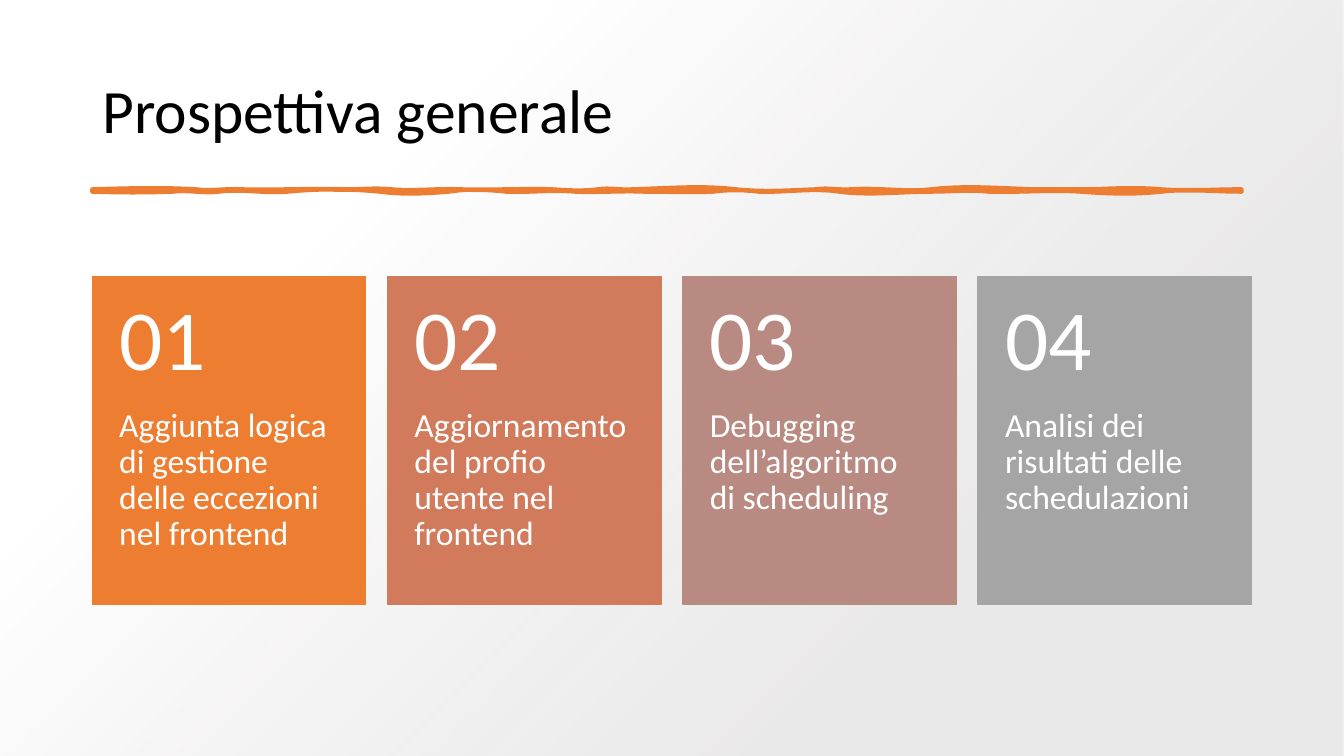
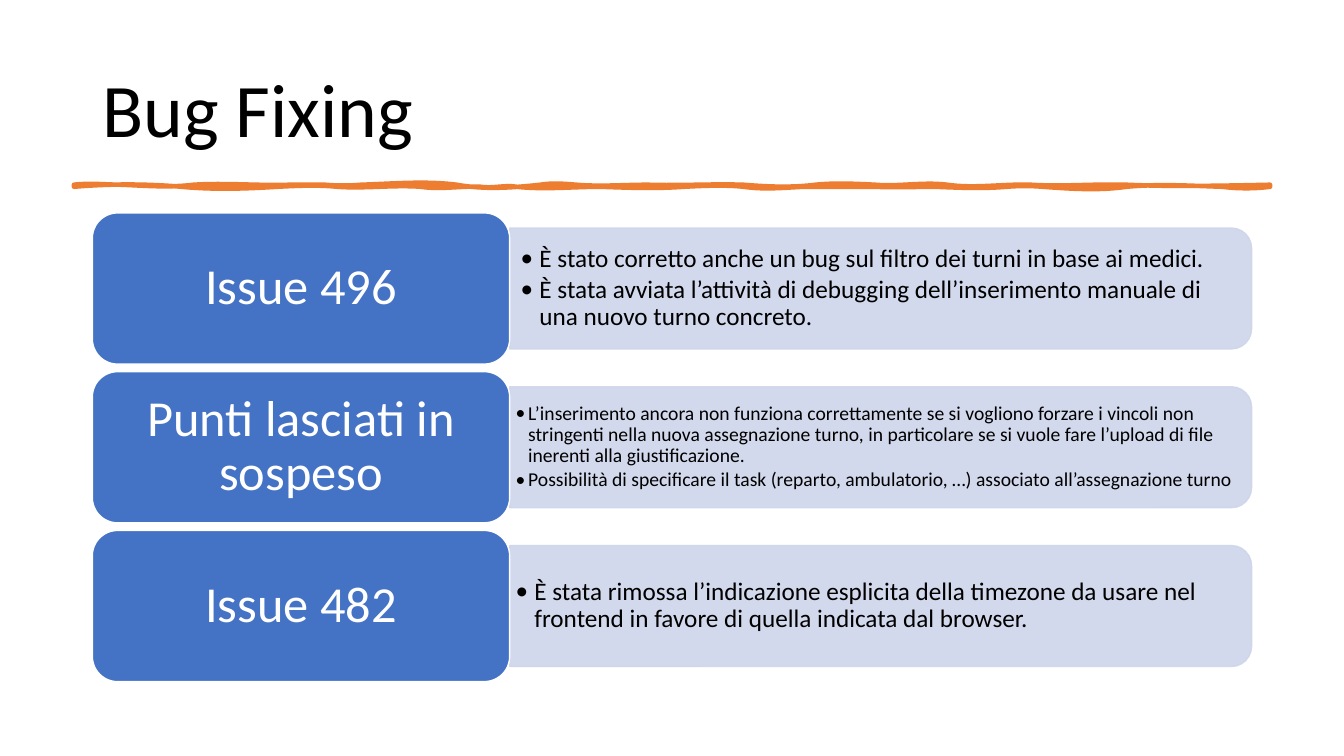
from lxml import etree
from pptx import Presentation
from pptx import util as u
from pptx.dml.color import RGBColor
from pptx.enum import shapes, text
from pptx.oxml.ns import qn

BLACK = RGBColor(0x00, 0x00, 0x00)
WHITE = RGBColor(0xFF, 0xFF, 0xFF)
ORANGE = RGBColor(0xED, 0x7D, 0x31)
TERRACOTTA = RGBColor(0xD1, 0x7B, 0x5C)
DUSTY_ROSE = RGBColor(0xB9, 0x8A, 0x82)
GRAY = RGBColor(0xA5, 0xA5, 0xA5)
PALE_GRAY = RGBColor(0xE7, 0xE6, 0xE6)
BLUE = RGBColor(0x44, 0x72, 0xC4)
PALE_BLUE = RGBColor(0xCF, 0xD5, 0xEA)

# The grid has 160 columns and 90 rows of square cells, 12 to the inch.
COLUMNS, ROWS = 160, 90
LEFT, WIDTH = 11, 138

# Each brush edge: (percent of the width, bend leaving, bend arriving).
# Bends are hundredths of an inch, positive downwards.
GENERAL_TOP = [
    (9, -1, -2), (13, 2, -1), (21, 1, -1), (26, 1, -2), (32, 2, -1), (40, 1, -1),
    (44, 1, 2), (47, -2, 1), (56, -1, -4), (63, 3, 1), (66, -2, 1), (73, -2, 3),
    (82, -4, -1), (87, 0, 0), (93, -1, -2), (100, 2, 0)]
GENERAL_BOTTOM = [
    (93, 0, -3), (86, 3, 2), (78, -2, 1), (73, -2, 0), (65, 0, 4), (58, -4, 1),
    (54, -2, -2), (48, 1, 0), (42, -1, 1), (36, -2, 1), (31, -2, -3), (25, 2, 3),
    (17, -3, -3), (11, 2, -3), (7, 2, -2), (0, 1, 1)]
FIXING_TOP = [
    (4, -2, 0), (10, 1, 3), (18, -2, 1), (21, 0, 0), (24, 1, 1), (32, -1, -4),
    (39, 5, 3), (42, -2, -1), (48, 2, 0), (56, 1, -1), (62, 2, 3), (67, -2, -1),
    (73, 2, -3), (80, 4, -1), (88, 2, -1), (100, 2, 1)]
FIXING_BOTTOM = [
    (96, 2, 2), (88, -1, -3), (81, 4, 2), (78, -1, -1), (72, 2, 1), (67, 0, 1),
    (61, 0, 0), (56, 1, 3), (51, -2, -1), (44, 2, 1), (37, 0, 3), (34, -2, 2),
    (29, -1, 3), (22, -2, 2), (17, -2, -1), (9, 2, 3), (0, -3, -3)]

CARDS = [
    (ORANGE, "Aggiunta logica di gestione delle eccezioni nel frontend"),
    (TERRACOTTA, "Aggiornamento del profio utente nel frontend"),
    (DUSTY_ROSE, "Debugging dell’algoritmo di scheduling"),
    (GRAY, "Analisi dei risultati delle schedulazioni"),
]

# Label, bullet size, bullet indent and side margin in columns, bullets.
ISSUES = [
    ("Issue 496", 18, 2.25, 1.3, [
        "È stato corretto anche un bug sul filtro dei turni in base ai medici.",
        "È stata avviata l’attività di debugging dell’inserimento manuale di "
        "una nuovo turno concreto."]),
    ("Punti lasciati in sospeso", 14, 1.5, 0.7, [
        "L’inserimento ancora non funziona correttamente se si vogliono forzare "
        "i vincoli non stringenti nella nuova assegnazione turno, in particolare "
        "se si vuole fare l’upload di file inerenti alla giustificazione.",
        "Possibilità di specificare il task (reparto, ambulatorio, …) associato "
        "all’assegnazione turno"]),
    ("Issue 482", 18, 2.25, 0.7, [
        "È stata rimossa l’indicazione esplicita della timezone da usare nel "
        "frontend in favore di quella indicata dal browser."]),
]


def cells(count):
    return u.Emu(round(count * u.Inches(1) / 12))


def set_alpha(color, percent):
    etree.SubElement(color, qn("a:alpha")).set("val", str(percent * 1000))


def lines_to_curves(outline):
    """Turn every three straight segments into one cubic curve."""
    segments = list(outline._element.iter(qn("a:lnTo")))
    for first, second, third in zip(*[iter(segments)] * 3):
        curve = etree.Element(qn("a:cubicBezTo"))
        first.addprevious(curve)
        for segment in (first, second, third):
            curve.append(segment[0])
            segment.getparent().remove(segment)


class Deck:
    font = "Calibri"

    def __init__(self):
        self.prs = Presentation()
        self.prs.slide_width = cells(COLUMNS)
        self.prs.slide_height = cells(ROWS)
        self.slide = None

    def new_slide(self):
        self.slide = self.prs.slides.add_slide(self.prs.slide_layouts[6])

    def shape(self, kind, x, y, w, h, fill=None, line=None):
        shape = self.slide.shapes.add_shape(kind, *map(cells, (x, y, w, h)))
        shape.shadow.inherit = False
        if fill is not None:
            shape.fill.solid()
            shape.fill.fore_color.rgb = fill
        if line is None:
            shape.line.fill.background()
        else:
            shape.line.color.rgb = line
            shape.line.width = u.Pt(1)
        return shape

    def backdrop(self):
        """Circular shade that grows towards the lower right corner."""
        shade = self.shape(shapes.MSO_SHAPE.RECTANGLE, 0, 0, COLUMNS, ROWS)
        shade.fill.gradient()
        for stop, color, position in zip(
                shade.fill.gradient_stops, (PALE_GRAY, WHITE), (0.28, 0.74)):
            stop.color.rgb = color
            stop.position = position
        set_alpha(next(shade._element.iter(qn("a:srgbClr"))), 84)
        linear = next(shade._element.iter(qn("a:lin")))
        circle = etree.Element(qn("a:path"), path="circle")
        etree.SubElement(circle, qn("a:fillToRect"), l="100000", t="100000")
        linear.getparent().replace(linear, circle)

    def text(self, x, y, w, h, lines, size, color=BLACK, margins=(1.2, 0.6, 1.2, 0.6),
             anchor=text.MSO_ANCHOR.MIDDLE, align=text.PP_ALIGN.LEFT, indent=0):
        """Text box; an indent turns its paragraphs into bullets."""
        frame = self.slide.shapes.add_textbox(*map(cells, (x, y, w, h))).text_frame
        frame.word_wrap = True
        frame.vertical_anchor = anchor
        (frame.margin_left, frame.margin_top,
         frame.margin_right, frame.margin_bottom) = map(cells, margins)
        for index, line in enumerate(lines):
            paragraph = frame.paragraphs[0] if index == 0 else frame.add_paragraph()
            paragraph.text = line
            paragraph.alignment = align
            paragraph.line_spacing = 0.9
            if indent:
                paragraph.space_after = u.Pt(0.15 * size)
                props = paragraph._p.get_or_add_pPr()
                props.set("marL", str(cells(indent)))
                props.set("indent", str(-cells(indent)))
                etree.SubElement(props, qn("a:buFont"), typeface=self.font)
                etree.SubElement(props, qn("a:buChar"), char="•")
            paragraph.font.name = self.font
            paragraph.font.size = u.Pt(size)
            paragraph.font.color.rgb = color

    def title(self, words, size):
        self.text(LEFT, 4.8, WIDTH, 17.4, [words], size)

    def brush(self, x, y, w, top, bottom, thickness=0.24):
        """Uneven hand-drawn rule under the title."""
        points, here = [(0, 0)], 0
        for edge, base in ((top, 0), (bottom, thickness)):
            if base:
                points += [(here, base)] * 3
            for end, leaving, arriving in edge:
                third = (end - here) / 3
                points += [(here + third, base + leaving * 0.12),
                           (end - third, base + arriving * 0.12), (end, base)]
                here = end
        outline = [(cells(x + w * px / 100), cells(y + dy)) for px, dy in points]
        builder = self.slide.shapes.build_freeform(*outline[0], scale=1.0)
        builder.add_line_segments(outline[1:], close=True)
        stroke = builder.convert_to_shape()
        lines_to_curves(stroke)
        stroke.shadow.inherit = False
        stroke.fill.solid()
        stroke.fill.fore_color.rgb = ORANGE
        stroke.line.color.rgb = ORANGE
        stroke.line.width = u.Pt(3.25)

    def card(self, x, y, w, number, words, color):
        height, head = 1.2 * w, 0.48 * w
        side = 3.2
        self.shape(shapes.MSO_SHAPE.RECTANGLE, x, y, w, height, color, color)
        self.text(x, y + head, w, height - head, [words], 24, WHITE,
                  (side, 0, side, 4.3), text.MSO_ANCHOR.TOP)
        self.text(x, y, w, head, [f"{number:02}"], 61, WHITE, (side, 2.15, side, 2.15))

    def issue(self, y, h, label, size, indent, margin, bullets):
        label_w = 0.36 * WIDTH
        panel_x, panel_w, panel_h = LEFT + label_w, WIDTH - label_w, 0.8 * h
        middle = y + h / 2
        panel = self.shape(
            shapes.MSO_SHAPE.ROUND_2_SAME_RECTANGLE,
            panel_x + (panel_w - panel_h) / 2, middle - panel_w / 2,
            panel_h, panel_w, PALE_BLUE, PALE_BLUE)
        panel.rotation = 90
        for color in panel._element.spPr.iter(qn("a:srgbClr")):
            set_alpha(color, 90)
        text_h = 0.72 * h
        self.text(panel_x, middle - text_h / 2, panel_w - 0.7, text_h, bullets, size,
                  margins=(margin, margin / 2) * 2, indent=indent)
        self.shape(shapes.MSO_SHAPE.ROUNDED_RECTANGLE, LEFT, y, label_w, h, BLUE, WHITE)
        inset = 0.05 * h
        self.text(LEFT + inset, y + inset, label_w - 2 * inset, h - 2 * inset, [label],
                  36, WHITE, (1.8, 0.9, 1.8, 0.9), align=text.PP_ALIGN.CENTER)


def general_slide(deck):
    deck.new_slide()
    deck.backdrop()
    deck.title("Prospettiva generale", 44)
    card_w = 32.55
    pitch = (WIDTH - card_w) / (len(CARDS) - 1)
    for index, (color, words) in enumerate(CARDS):
        deck.card(LEFT + index * pitch, 32.95, card_w, index + 1, words, color)
    deck.brush(LEFT, 22.56, 136.8, GENERAL_TOP, GENERAL_BOTTOM)


def fixing_slide(deck):
    deck.new_slide()
    deck.title("Bug Fixing", 54)
    deck.brush(8.8, 22, 142.4, FIXING_TOP, FIXING_BOTTOM)
    height = 18
    for index, issue in enumerate(ISSUES):
        deck.issue(25.35 + index * 1.05 * height, height, *issue)


def main():
    deck = Deck()
    general_slide(deck)
    fixing_slide(deck)
    deck.prs.save("out.pptx")


if __name__ == "__main__":
    main()
